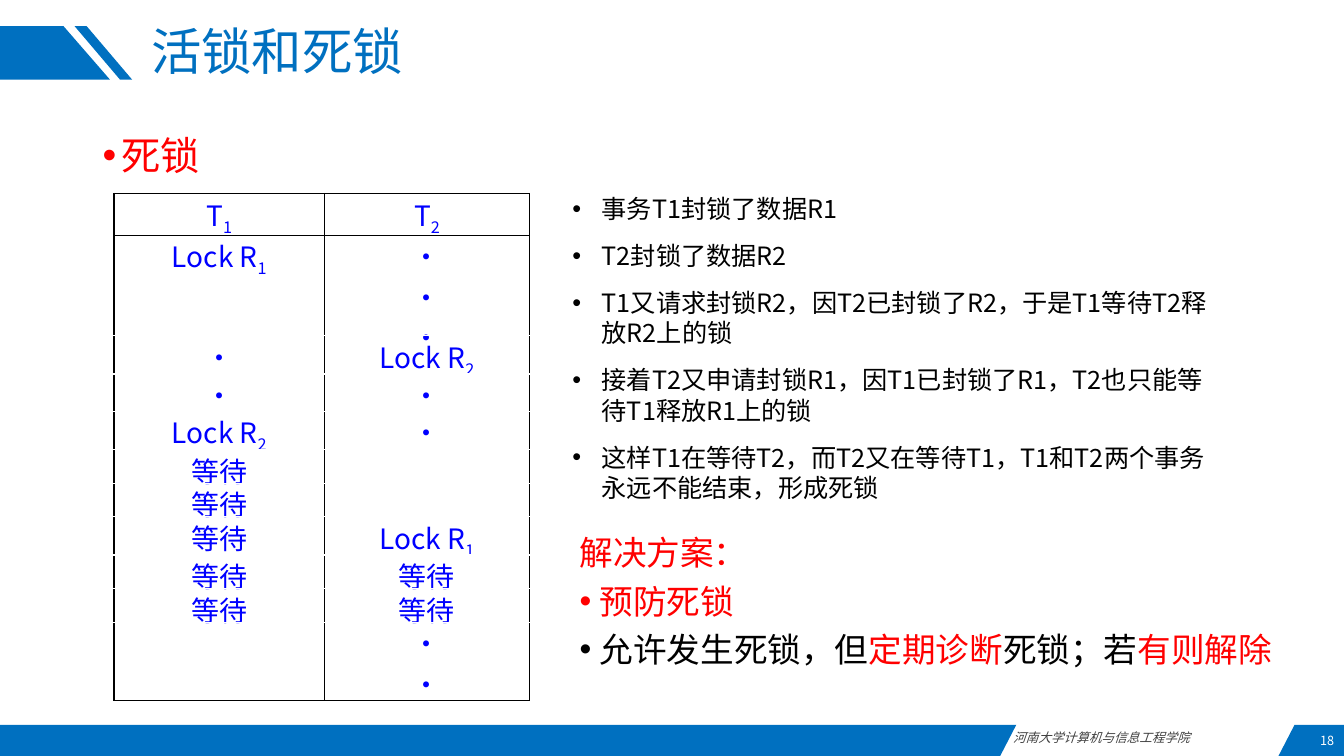
from lxml import etree
from pptx import Presentation
from pptx.dml.color import RGBColor
from pptx.enum.text import MSO_ANCHOR, PP_ALIGN
from pptx.oxml.ns import qn
from pptx.util import Inches, Pt

CENTER, RIGHT = PP_ALIGN.CENTER, PP_ALIGN.RIGHT
TOP, MIDDLE = MSO_ANCHOR.TOP, MSO_ANCHOR.MIDDLE
FONT = "Noto Sans CJK SC"
COLORS = {"blue": "0070C0", "ink": "0000FF", "red": "FF0000",
          "black": "000000", "white": "FFFFFF", "gray": "404040"}

BANDS = [
    [(0, 0.26), (0.63, 0.26), (1.09, 0.79), (0, 0.79)],
    [(0.86, 0.26), (1.31, 0.79), (1.19, 0.79), (0.74, 0.26)],
    [(0, 7.19), (10.08, 7.19), (9.92, 7.5), (0, 7.5)],
    [(12.84, 7.19), (13.33, 7.19), (13.33, 7.5), (12.68, 7.5)],
]
STEPS = [
    "事务T1封锁了数据R1",
    "T2封锁了数据R2",
    "T1又请求封锁R2，因T2已封锁了R2，于是T1等待T2释放R2上的锁",
    "接着T2又申请封锁R1，因T1已封锁了R1，T2也只能等待T1释放R1上的锁",
    "这样T1在等待T2，而T2又在等待T1，T1和T2两个事务永远不能结束，形成死锁",
]
SCHEDULE = [
    (0.41, "T_1", "T_2"),
    (0.89, "Lock R_1", "•\n•\n•"),
    (0.3, "•", "Lock R_2"),
    (0.37, "•", "•"),
    (0.3, "Lock R_2", "•"),
    (0.3, "等待", ""),
    (0.3, "等待", ""),
    (0.31, "等待", "Lock R_1"),
    (0.3, "等待", "等待"),
    (0.3, "等待", "等待"),
    (0.77, "", "•\n•"),
]


def rgb(name):
    return RGBColor.from_string(COLORS[name])


def add_run(p, text, size, color, italic=False, baseline=None):
    r = p.add_run()
    r.text = text
    formats = {"size": Pt(size), "name": FONT, "italic": italic}
    for name, value in formats.items():
        setattr(r.font, name, value)
    r.font.color.rgb = rgb(color)
    rPr = r._r.get_or_add_rPr()
    etree.SubElement(rPr, qn("a:ea")).set("typeface", FONT)
    if baseline:
        rPr.set("baseline", str(baseline))


def add_bullet(p, indent):
    pPr = p._p.get_or_add_pPr()
    pPr.set("marL", str(Inches(indent)))
    pPr.set("indent", str(-Inches(indent)))
    etree.SubElement(pPr, qn("a:buFont")).set("typeface", "Arial")
    etree.SubElement(pPr, qn("a:buChar")).set("char", "•")


def add_text(s, box, paragraphs, size, indent=0, anchor=TOP, italic=False, **formats):
    tf = s.shapes.add_textbox(*map(Inches, box)).text_frame
    tf.word_wrap = True
    tf.vertical_anchor = anchor
    gap = formats.pop("space_before", None)
    for i, (bulleted, runs) in enumerate(paragraphs):
        p = tf.add_paragraph() if i else tf.paragraphs[0]
        if bulleted:
            add_bullet(p, indent)
        for name, value in formats.items():
            setattr(p, name, value)
        if i and gap:
            p.space_before = gap
        for text, color in runs:
            add_run(p, text, size, color, italic)


def add_band(s, points):
    corners = [(Inches(x), Inches(y)) for x, y in points]
    builder = s.shapes.build_freeform(*corners[0])
    builder.add_line_segments(corners[1:], close=True)
    sp = builder.convert_to_shape()
    sp.shadow.inherit = False
    sp.fill.solid()
    sp.fill.fore_color.rgb = rgb("blue")
    sp.line.fill.background()


def set_borders(cell, top, bottom):
    tcPr = cell._tc.get_or_add_tcPr()
    sides = {"L": ("black", 1), "R": ("black", 1), "T": top, "B": bottom}
    for i, (side, (color, width)) in enumerate(sides.items()):
        ln = etree.Element(qn(f"a:ln{side}"), w=str(Pt(width)))
        fill = etree.SubElement(ln, qn("a:solidFill"))
        etree.SubElement(fill, qn("a:srgbClr")).set("val", COLORS[color])
        tcPr.insert(i, ln)


def fill_cell(cell, text):
    formats = {"margin_left": Inches(0.08), "margin_right": Inches(0.08),
               "margin_top": 0, "margin_bottom": 0}
    for name, value in formats.items():
        setattr(cell, name, value)
    cell.fill.background()
    tf = cell.text_frame
    for i, line in enumerate(text.split("\n")):
        p = tf.add_paragraph() if i else tf.paragraphs[0]
        p.alignment = CENTER
        base, _, sub = line.partition("_")
        if base:
            add_run(p, base, 20, "ink")
        if sub:
            add_run(p, sub, 20, "ink", baseline=-25000)


def add_schedule(s, left, top, widths, height):
    frame = s.shapes.add_table(len(SCHEDULE), len(widths), Inches(left), Inches(top),
                               Inches(sum(widths)), Inches(height))
    table = frame.table
    table.first_row = table.horz_banding = False
    for column, width in zip(table.columns, widths):
        column.width = Inches(width)
    thin, hidden = ("black", 0.25), ("white", 1)
    last = len(SCHEDULE) - 1
    rules = [("black", 1), thin] + [hidden] * (last - 1) + [thin]
    for i, (row_height, *texts) in enumerate(SCHEDULE):
        table.rows[i].height = Inches(row_height)
        for j, text in enumerate(texts):
            cell = table.cell(i, j)
            fill_cell(cell, text)
            set_borders(cell, rules[i], rules[i + 1])
    frame.height = Inches(height)


def main():
    prs = Presentation()
    prs.slide_width, prs.slide_height = Inches(13.33), Inches(7.5)
    s = prs.slides.add_slide(prs.slide_layouts[6])
    for points in BANDS:
        add_band(s, points)
    add_text(s, (9.95, 7.19, 2.73, 0.25),
             [(False, [("河南大学计算机与信息工程学院", "gray")])], 9, italic=True)
    add_text(s, (11.94, 7.2, 1.39, 0.3), [(False, [("18", "white")])], 9,
             anchor=MIDDLE, alignment=RIGHT)
    add_text(s, (1.4, 0.26, 10.45, 0.56), [(False, [("活锁和死锁", "blue")])], 36,
             anchor=MIDDLE, line_spacing=0.9)
    add_text(s, (0.92, 1.25, 11.5, 0.65), [(True, [("死锁", "red")])], 28, indent=0.19)
    add_schedule(s, 1.13, 1.92, [2.09, 2.03], 4.89)
    add_text(s, (5.58, 1.87, 6.63, 3.28),
             [(True, [(step, "black")]) for step in STEPS], 18, indent=0.29,
             space_before=Pt(12))
    add_text(s, (5.65, 5.15, 7.2, 1.51), [
        (False, [("解决方案：", "red")]),
        (True, [("预防死锁", "red")]),
        (True, [("允许发生死锁，但", "black"), ("定期诊断", "red"),
                ("死锁；若", "black"), ("有则解除", "red")]),
    ], 24, indent=0.2, line_spacing=1.2)
    prs.save("out.pptx")


if __name__ == "__main__":
    main()
